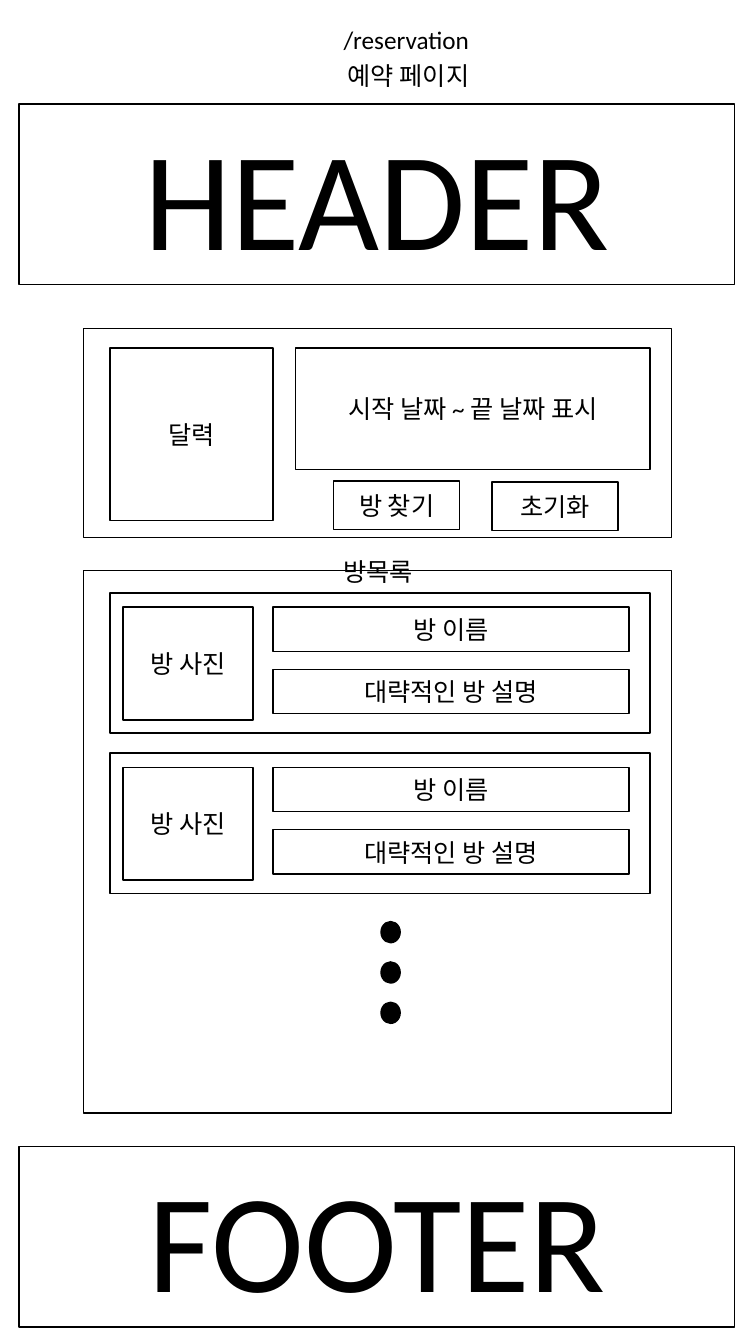
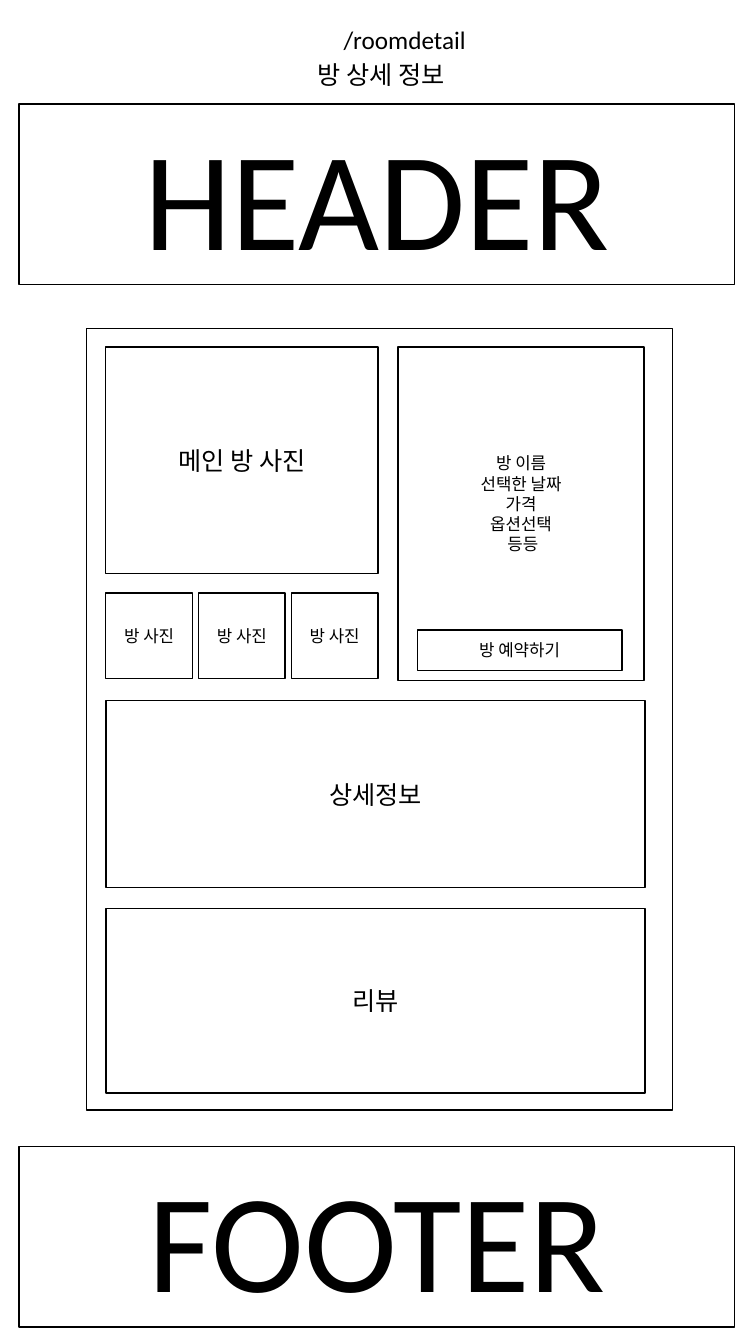
from pptx import Presentation
from pptx.dml.color import RGBColor
from pptx.enum import shapes, text
from pptx.util import Inches, Pt

BLACK = RGBColor(0, 0, 0)
WHITE = RGBColor(255, 255, 255)
BODY, SMALL, BANNER = Pt(18), Pt(12), Pt(100)
FONT = {"name": "Calibri", "bold": False}
CENTERED = {"vertical_anchor": text.MSO_ANCHOR.MIDDLE, "word_wrap": True}
LABEL = {"vertical_anchor": text.MSO_ANCHOR.TOP, "word_wrap": False,
         "auto_size": text.MSO_AUTO_SIZE.SHAPE_TO_FIT_TEXT}
BANDS = {"HEADER": (0.19, 1.03, 7.1, 1.79), "FOOTER": (0.19, 11.37, 7.1, 1.79)}


def set_values(obj, values):
    """Set each named attribute on an object."""
    for name, value in values.items():
        setattr(obj, name, value)


def inside(box, dx, dy, w, h):
    """Return a box offset from the corner of another box."""
    return box[0] + dx, box[1] + dy, w, h


def write(sp, lines, size, align, frame):
    """Fill a shape with one paragraph per line."""
    tf = sp.text_frame
    set_values(tf, frame)
    for i, line in enumerate(lines):
        p = tf.paragraphs[0] if i == 0 else tf.add_paragraph()
        p.alignment = align
        r = p.add_run()
        r.text = line
        set_values(r.font, {**FONT, "size": size})
        r.font.color.rgb = BLACK


def add_box(s, box, *lines, size=BODY, frame=CENTERED, fill=WHITE,
            kind=shapes.MSO_SHAPE.RECTANGLE):
    """Add an outlined shape with optional centred text."""
    sp = s.shapes.add_shape(kind, *map(Inches, box))
    sp.shadow.inherit = False
    sp.fill.solid()
    sp.fill.fore_color.rgb = fill
    sp.line.color.rgb = BLACK
    sp.line.width = Pt(1)
    write(sp, lines, size, text.PP_ALIGN.CENTER, frame)


def add_label(s, box, line):
    """Add a one-line text box."""
    sp = s.shapes.add_textbox(*map(Inches, box))
    write(sp, [line], BODY, text.PP_ALIGN.LEFT, LABEL)


def add_page(prs, route, route_width, title, title_box):
    """Add a slide with its route, title, header and footer."""
    s = prs.slides.add_slide(prs.slide_layouts[5])
    sp = s.shapes.title
    set_values(sp, dict(zip(("left", "top", "width", "height"), map(Inches, title_box))))
    write(sp, [title], BODY, text.PP_ALIGN.LEFT, LABEL)
    add_label(s, (3.31, 0.19, route_width, 0.4), route)
    for name, box in BANDS.items():
        add_box(s, box, name, size=BANNER)
    return s


def search_panel(s, box):
    """Draw the calendar, the date range and the buttons."""
    add_box(s, box)
    add_box(s, inside(box, 0.26, 0.19, 1.62, 1.71), "달력")
    add_box(s, inside(box, 2.1, 0.19, 3.52, 1.21), "시작 날짜 ~ 끝 날짜 표시")
    add_box(s, inside(box, 2.48, 1.51, 1.25, 0.48), "방 찾기")
    add_box(s, inside(box, 4.05, 1.52, 1.25, 0.48), "초기화")


def room_card(s, box):
    """Draw one room with its photo, name and description."""
    add_box(s, box)
    add_box(s, inside(box, 0.13, 0.14, 1.29, 1.12), "방 사진")
    for i, line in enumerate(("방 이름", "대략적인 방 설명")):
        add_box(s, inside(box, 1.62, 0.14 + 0.62 * i, 3.53, 0.44), line)


def room_list(s, box):
    """Draw the room cards and the continuation dots."""
    add_box(s, box)
    add_label(s, inside(box, 2.48, -0.19, 0.96, 0.4), "방목록")
    for i in range(2):
        room_card(s, inside(box, 0.26, 0.22 + 1.59 * i, 5.36, 1.39))
    for i in range(3):
        add_box(s, inside(box, 2.95, 3.48 + 0.4 * i, 0.19, 0.21), fill=BLACK,
                kind=shapes.MSO_SHAPE.OVAL)


def gallery(s, box):
    """Draw the main photo above a row of three thumbnails."""
    add_box(s, inside(box, 0, 0, box[2], 2.25), "메인 방 사진")
    side = 0.86
    pitch = (box[2] - side) / 2
    for i in range(3):
        add_box(s, inside(box, pitch * i, 2.44, side, 0.85), "방 사진", size=SMALL)


def booking_panel(s, box):
    """Draw the booking summary and its button."""
    add_box(s, box, "방 이름", "선택한 날짜", "가격", "옵션선택", " 등등", size=SMALL,
            frame={**CENTERED, "margin_bottom": Inches(0.25)})
    add_box(s, inside(box, 0.19, 2.81, 2.03, 0.4), "방 예약하기", size=SMALL)


def detail_panel(s, box):
    """Draw the room detail page body."""
    add_box(s, box)
    gallery(s, inside(box, 0.19, 0.18, 2.7, 3.29))
    booking_panel(s, inside(box, 3.09, 0.18, 2.44, 3.31))
    add_box(s, inside(box, 0.19, 3.69, 5.35, 1.85), "상세정보")
    add_box(s, inside(box, 0.19, 5.75, 5.35, 1.83), "리뷰")


def main():
    """Build and save both pages."""
    prs = Presentation()
    set_values(prs, {"slide_width": Inches(7.5), "slide_height": Inches(13.33)})
    s = add_page(prs, "/reservation", 1.46, "예약 페이지", (3.35, 0.55, 1.52, 0.4))
    room_list(s, (0.83, 5.66, 5.83, 5.38))
    search_panel(s, (0.83, 3.26, 5.83, 2.07))
    s = add_page(prs, "/roomdetail", 1.43, "방 상세 정보", (3.05, 0.54, 1.58, 0.4))
    detail_panel(s, (0.86, 3.26, 5.81, 7.75))
    prs.save("out.pptx")


main()
